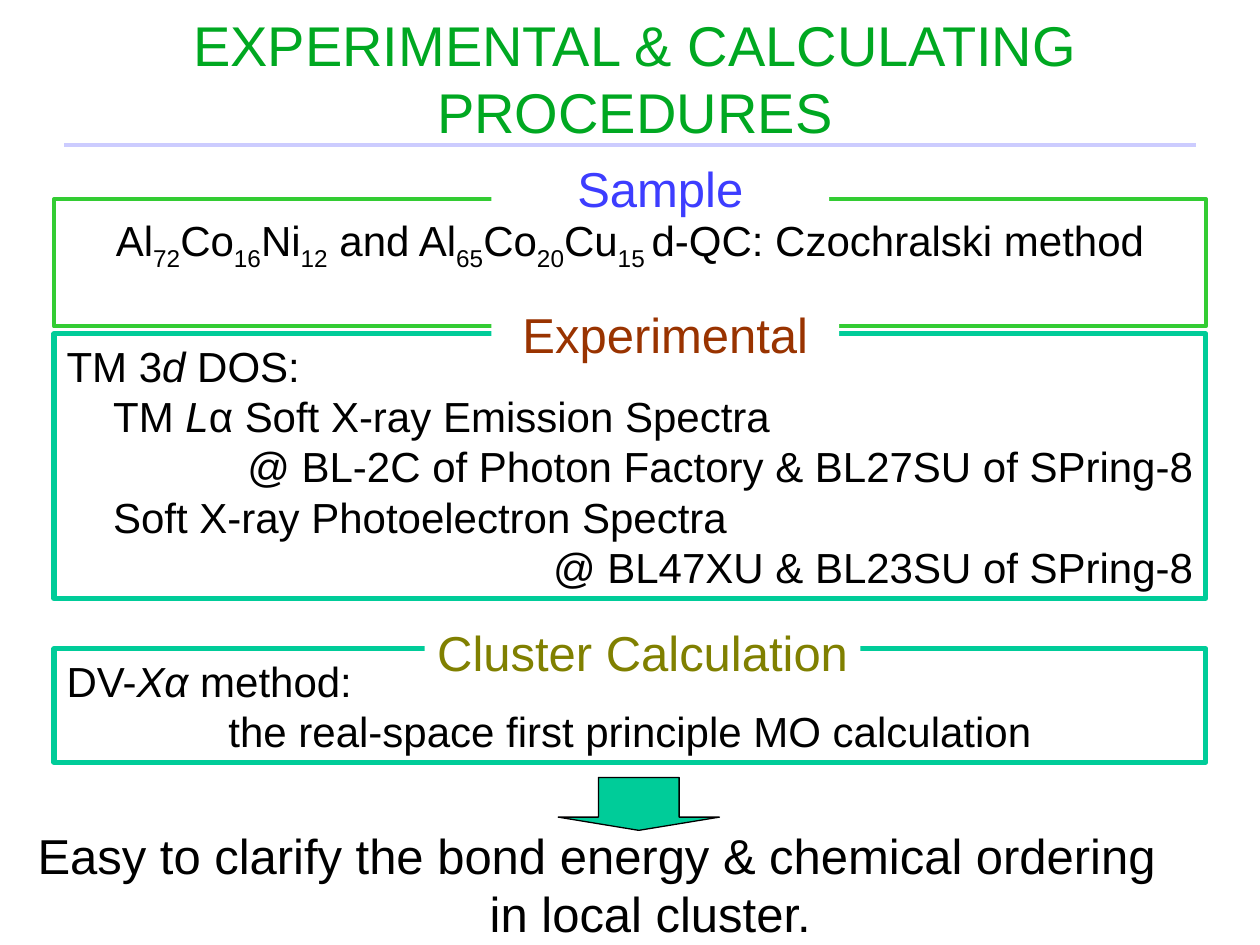
from lxml.etree import SubElement
from pptx import Presentation
from pptx.dml.color import RGBColor
from pptx.enum.shapes import MSO_CONNECTOR, MSO_SHAPE
from pptx.enum.text import MSO_ANCHOR, PP_ALIGN
from pptx.oxml.ns import qn
from pptx.util import Inches, Pt

COLORS = {
    "title": "00A821", "rule": "CCCCFF", "green": "33CC33", "teal": "00CC99",
    "blue": "3D3DFF", "brown": "993300", "olive": "808000",
    "black": "000000", "white": "FFFFFF",
}
LEFT, CENTER, RIGHT = PP_ALIGN.LEFT, PP_ALIGN.CENTER, PP_ALIGN.RIGHT
FONT = "Arial"
LINE_FACTOR = 1.2
BODY_SIZE, HEADING_SIZE, TITLE_SIZE = 24, 28, 32
INDENT = 0.37
FRAME_LEFT, FRAME_WIDTH = 0.43, 9.14

# Content: a paragraph is (alignment, left indent, runs); a run is (text, style)
TITLE = [(CENTER, 0, [("EXPERIMENTAL & CALCULATING PROCEDURES", "")])]
SAMPLE = [(CENTER, 0, [
    ("Al", ""), ("72", "sub"), ("Co", ""), ("16", "sub"), ("Ni", ""), ("12", "sub"),
    (" and Al", ""), ("65", "sub"), ("Co", ""), ("20", "sub"), ("Cu", ""),
    ("15 ", "sub"), ("d-QC: Czochralski method", ""),
])]
EXPERIMENT = [
    (LEFT, 0, [("TM 3", ""), ("d", "italic"), (" DOS:", "")]),
    (LEFT, INDENT, [("TM ", ""), ("L", "italic"), ("α Soft X-ray Emission Spectra", "")]),
    (RIGHT, 0, [("@ BL-2C of Photon Factory & BL27SU of SPring-8", "")]),
    (LEFT, INDENT, [("Soft X-ray Photoelectron Spectra", "")]),
    (RIGHT, 0, [("@ BL47XU & BL23SU of SPring-8", "")]),
]
CALCULATION = [
    (LEFT, 0, [("DV-", ""), ("Xα", "italic"), (" method:", "")]),
    (CENTER, 0, [("the real-space first principle MO calculation", "")]),
]
CONCLUSION = [
    (LEFT, 0, [("Easy to clarify the bond energy & chemical ordering", "")]),
    (CENTER, 0.31, [("in local cluster.", "")]),
]
# Frames: top, height, line colour, line width, top inset, paragraphs
FRAMES = [
    (1.58, 1.01, "green", 2.5, 0.18, SAMPLE),
    (2.65, 2.10, "teal", 3, 0.05, EXPERIMENT),
    (5.15, 0.90, "teal", 3, 0.05, CALCULATION),
]
# Headings that interrupt the frame lines: text, left, top, width, colour
HEADINGS = [
    ("Cluster Calculation", 3.37, 4.89, 3.46, "olive"),
    ("Sample", 3.9, 1.21, 2.68, "blue"),
    ("Experimental", 3.9, 2.37, 2.76, "brown"),
]


def rgb(name):
    return RGBColor.from_string(COLORS[name])


def write(shape, paragraphs, size, color="black", anchor=MSO_ANCHOR.TOP, inset=0.05):
    frame = shape.text_frame
    frame.word_wrap = True
    frame.vertical_anchor = anchor
    frame.margin_left = frame.margin_right = Inches(0.1)
    frame.margin_top, frame.margin_bottom = Inches(inset), Inches(0.05)
    for index, (alignment, indent, runs) in enumerate(paragraphs):
        paragraph = frame.paragraphs[0] if index == 0 else frame.add_paragraph()
        paragraph.alignment = alignment
        paragraph.line_spacing = Pt(size * LINE_FACTOR)
        if indent:
            paragraph._p.get_or_add_pPr().set("marL", str(Inches(indent)))
        for text, style in runs:
            run = paragraph.add_run()
            run.text = text
            run.font.name, run.font.size = FONT, Pt(size)
            run.font.color.rgb = rgb(color)
            if style == "italic":
                run.font.italic = True
            elif style == "sub":
                run.font._element.set("baseline", "-25000")


def add_box(slide, preset, box, fill=None, line=None, width=1):
    shape = slide.shapes.add_shape(preset, *map(Inches, box))
    shape.shadow.inherit = False
    if fill:
        shape.fill.solid()
        shape.fill.fore_color.rgb = rgb(fill)
    else:
        shape.fill.background()
    if line:
        shape.line.color.rgb = rgb(line)
        shape.line.width = Pt(width)
    else:
        shape.line.fill.background()
    return shape


def add_text(slide, box, *args, **options):
    write(slide.shapes.add_textbox(*map(Inches, box)), *args, **options)


def main():
    presentation = Presentation()
    presentation.slide_width, presentation.slide_height = Inches(10), Inches(7.5)
    slide = presentation.slides.add_slide(presentation.slide_layouts[6])

    # Title and rule
    add_text(slide, (0.51, 0.24, 9.06, 0.75), TITLE, TITLE_SIZE, "title",
             anchor=MSO_ANCHOR.MIDDLE)
    rule = slide.shapes.add_connector(
        MSO_CONNECTOR.STRAIGHT, *map(Inches, (0.51, 1.15, 9.49, 1.15)))
    rule.line.color.rgb, rule.line.width = rgb("rule"), Pt(2.25)
    SubElement(rule._element.spPr, qn("a:effectLst"))

    # Framed sections
    for top, height, color, width, inset, paragraphs in FRAMES:
        box = (FRAME_LEFT, top, FRAME_WIDTH, height)
        shape = add_box(slide, MSO_SHAPE.RECTANGLE, box, line=color, width=width)
        write(shape, paragraphs, BODY_SIZE, inset=inset)

    # Section headings
    for text, left, top, width, color in HEADINGS:
        shape = add_box(slide, MSO_SHAPE.RECTANGLE, (left, top, width, 0.57), fill="white")
        write(shape, [(CENTER, 0, [(text, "")])], HEADING_SIZE, color)

    # Arrow and conclusion
    arrow = add_box(slide, MSO_SHAPE.DOWN_ARROW, (4.43, 6.17, 1.28, 0.42),
                    fill="teal", line="black", width=0.75)
    arrow.adjustments[0], arrow.adjustments[1] = 0.5, 0.25
    add_text(slide, (0.2, 6.5, 9.61, 1.04), CONCLUSION, HEADING_SIZE)

    presentation.save("out.pptx")


if __name__ == "__main__":
    main()
